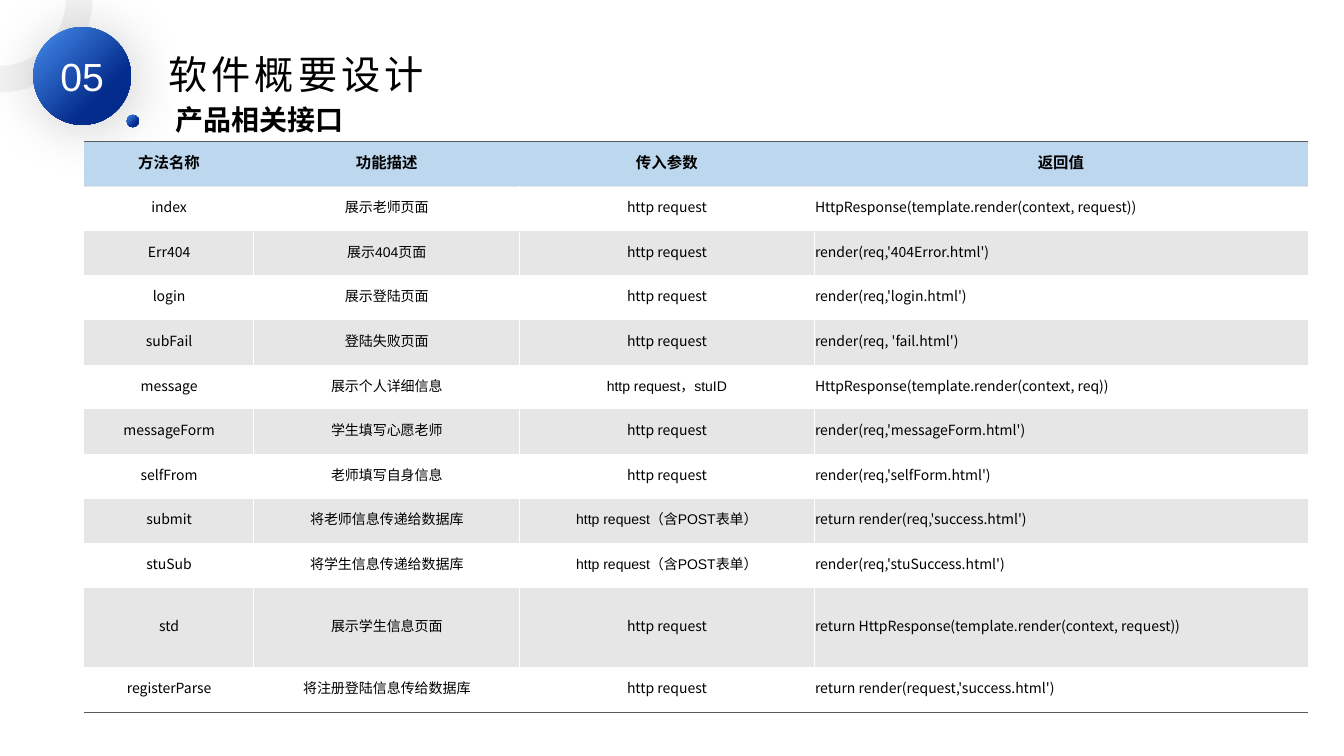
import math
from lxml import etree
from pptx import Presentation
from pptx import util as u
from pptx.dml import color
from pptx.enum import shapes, text
from pptx.oxml import ns

Pt = u.Pt
COLORS = {"black": "000000", "white": "FFFFFF", "ring": "F2F2F2", "light_blue": "478EEE",
          "deep_blue": "042C8C", "header": "BDD7EE", "band": "E6E6E6", "rule": "5A5A5A"}
ARIAL, NOTO = "Arial", "Noto Sans CJK SC"

SECTION = "05"
TITLE = "软件概要设计"
SUBTITLE = "产品相关接口"
HEADER = ("方法名称", "功能描述", "传入参数", "返回值")
REQUEST = "http request"
FORM_REQUEST = "http request（含POST表单）"
METHODS = [
    ("index", "展示老师页面", REQUEST, "HttpResponse(template.render(context, request))"),
    ("Err404", "展示404页面", REQUEST, "render(req,'404Error.html')"),
    ("login", "展示登陆页面", REQUEST, "render(req,'login.html')"),
    ("subFail", "登陆失败页面", REQUEST, "render(req, 'fail.html')"),
    ("message", "展示个人详细信息", "http request，stuID", "HttpResponse(template.render(context, req))"),
    ("messageForm", "学生填写心愿老师", REQUEST, "render(req,'messageForm.html')"),
    ("selfFrom", "老师填写自身信息", REQUEST, "render(req,'selfForm.html')"),
    ("submit", "将老师信息传递给数据库", FORM_REQUEST, "return render(req,'success.html')"),
    ("stuSub", "将学生信息传递给数据库", FORM_REQUEST, "render(req,'stuSuccess.html')"),
    ("std", "展示学生信息页面", REQUEST, "return HttpResponse(template.render(context, request))"),
    ("registerParse", "将注册登陆信息传给数据库", REQUEST, "return render(request,'success.html')"),
]
COLUMN_WIDTHS = (121, 190, 210.2, 352.8)
ROW_HEIGHT, TALL_ROW_HEIGHT, TALL_METHOD = 31.87, 56.9, "std"
TABLE_LEFT, TABLE_TOP = 60.3, 101.2
RING_RADII = (66, 47)
BADGE = (23.8, 19.4, 69.8)
DOT = (90.5, 82.1, 8.7)
CELL_FORMAT = {"margin_left": Pt(0.72), "margin_right": Pt(0.72), "margin_top": Pt(0.72),
               "margin_bottom": Pt(3.6), "vertical_anchor": text.MSO_ANCHOR.MIDDLE}
NO_STYLE = "{2D5ABB26-0587-4C30-8999-92F81FD0307C}"


def rgb(name):
    return color.RGBColor.from_string(COLORS[name])


def apply(target, values):
    for key, value in values.items():
        setattr(target, key, value)


def add_xml(parent, tag, **attributes):
    return etree.SubElement(parent, ns.qn(tag), attributes)


def write(frame, words, size, font, ink="black", bold=False, align=text.PP_ALIGN.LEFT):
    paragraph = frame.paragraphs[0]
    paragraph.alignment = align
    run = paragraph.add_run()
    run.text = words
    apply(run.font, {"size": Pt(size), "bold": bold, "name": font})
    run.font.color.rgb = rgb(ink)
    properties = run.font._element
    add_xml(properties, "a:ea", typeface=NOTO)
    return properties


def add_heading(slide, box, words, size, font, bold=False):
    frame = slide.shapes.add_textbox(*map(Pt, box)).text_frame
    apply(frame, {"word_wrap": True, "auto_size": text.MSO_AUTO_SIZE.SHAPE_TO_FIT_TEXT})
    return write(frame, words, size, font, bold=bold)


def add_ball(group, left, top, size):
    ball = group.shapes.add_shape(shapes.MSO_SHAPE.OVAL, Pt(left), Pt(top), Pt(size), Pt(size))
    ball.line.fill.background()
    ball.fill.gradient()
    ball.fill.gradient_angle = 315
    for stop, position, name in zip(ball.fill.gradient_stops, (0, 0.7), ("light_blue", "deep_blue")):
        stop.position = position
        stop.color.rgb = rgb(name)
    ball.shadow.inherit = False
    effects = ball._element.spPr.find(ns.qn("a:effectLst"))
    shadow = add_xml(effects, "a:outerShdw", blurRad=str(Pt(40)), dist=str(Pt(3)),
                     dir="2700000", algn="tl", rotWithShape="0")
    shade = add_xml(shadow, "a:srgbClr", val=COLORS["black"])
    add_xml(shade, "a:alpha", val="20000")
    return ball


def add_badge(slide):
    group = slide.shapes.add_group_shape()
    outer, inner = [[(radius * math.cos(math.radians(angle)), radius * math.sin(math.radians(angle)))
                     for angle in range(0, 91, 3)] for radius in RING_RADII]
    outline = [(Pt(x), Pt(y)) for x, y in outer + inner[::-1]]
    builder = group.shapes.build_freeform(*outline[0])
    builder.add_line_segments(outline[1:], close=True)
    ring = builder.convert_to_shape()
    ring.shadow.inherit = False
    ring.fill.solid()
    ring.fill.fore_color.rgb = rgb("ring")
    ring.line.fill.background()
    frame = add_ball(group, *BADGE).text_frame
    frame.vertical_anchor = text.MSO_ANCHOR.MIDDLE
    write(frame, SECTION, 28, ARIAL, "white", align=text.PP_ALIGN.CENTER)
    add_ball(group, *DOT)


def cell_borders(row, column):
    body, last_row, last_column = row > 0, len(METHODS), len(HEADER) - 1
    return {"a:lnL": "white" if body and column > 0 else None,
            "a:lnR": "white" if body and column < last_column else None,
            "a:lnT": {0: "rule", 1: "band"}.get(row),
            "a:lnB": {0: "band", last_row: "rule"}.get(row)}


def add_methods(slide):
    rows = [HEADER] + METHODS
    heights = [TALL_ROW_HEIGHT if row[0] == TALL_METHOD else ROW_HEIGHT for row in rows]
    box = (TABLE_LEFT, TABLE_TOP, sum(COLUMN_WIDTHS), sum(heights))
    table = slide.shapes.add_table(len(rows), len(HEADER), *map(Pt, box)).table
    table._tbl.tblPr.find(ns.qn("a:tableStyleId")).text = NO_STYLE
    for column, width in zip(table.columns, COLUMN_WIDTHS):
        column.width = Pt(width)
    for r, (entries, height) in enumerate(zip(rows, heights)):
        table.rows[r].height = Pt(height)
        fill = "header" if r == 0 else "white" if r % 2 else "band"
        for c, words in enumerate(entries):
            cell = table.cell(r, c)
            apply(cell, CELL_FORMAT)
            for tag, name in cell_borders(r, c).items():
                if name:
                    border = add_xml(cell._tc.tcPr, tag, w=str(Pt(0.5)))
                    add_xml(add_xml(border, "a:solidFill"), "a:srgbClr", val=COLORS[name])
            cell.fill.solid()
            cell.fill.fore_color.rgb = rgb(fill)
            left_aligned = r > 0 and c == len(HEADER) - 1
            write(cell.text_frame, words, 10 if r else 11, NOTO if words.isascii() else ARIAL,
                  bold=r == 0, align=text.PP_ALIGN.LEFT if left_aligned else text.PP_ALIGN.CENTER)


def main():
    deck = Presentation()
    apply(deck, {"slide_width": Pt(960), "slide_height": Pt(540)})
    slide = deck.slides.add_slide(deck.slide_layouts[6])
    add_badge(slide)
    title = add_heading(slide, (113, 32.4, 261.4, 41), TITLE, 28, ARIAL)
    title.set("spc", "300")
    add_methods(slide)
    add_heading(slide, (118.1, 69.8, 214.6, 31.7), SUBTITLE, 20, NOTO, bold=True)
    deck.save("out.pptx")


if __name__ == "__main__":
    main()
